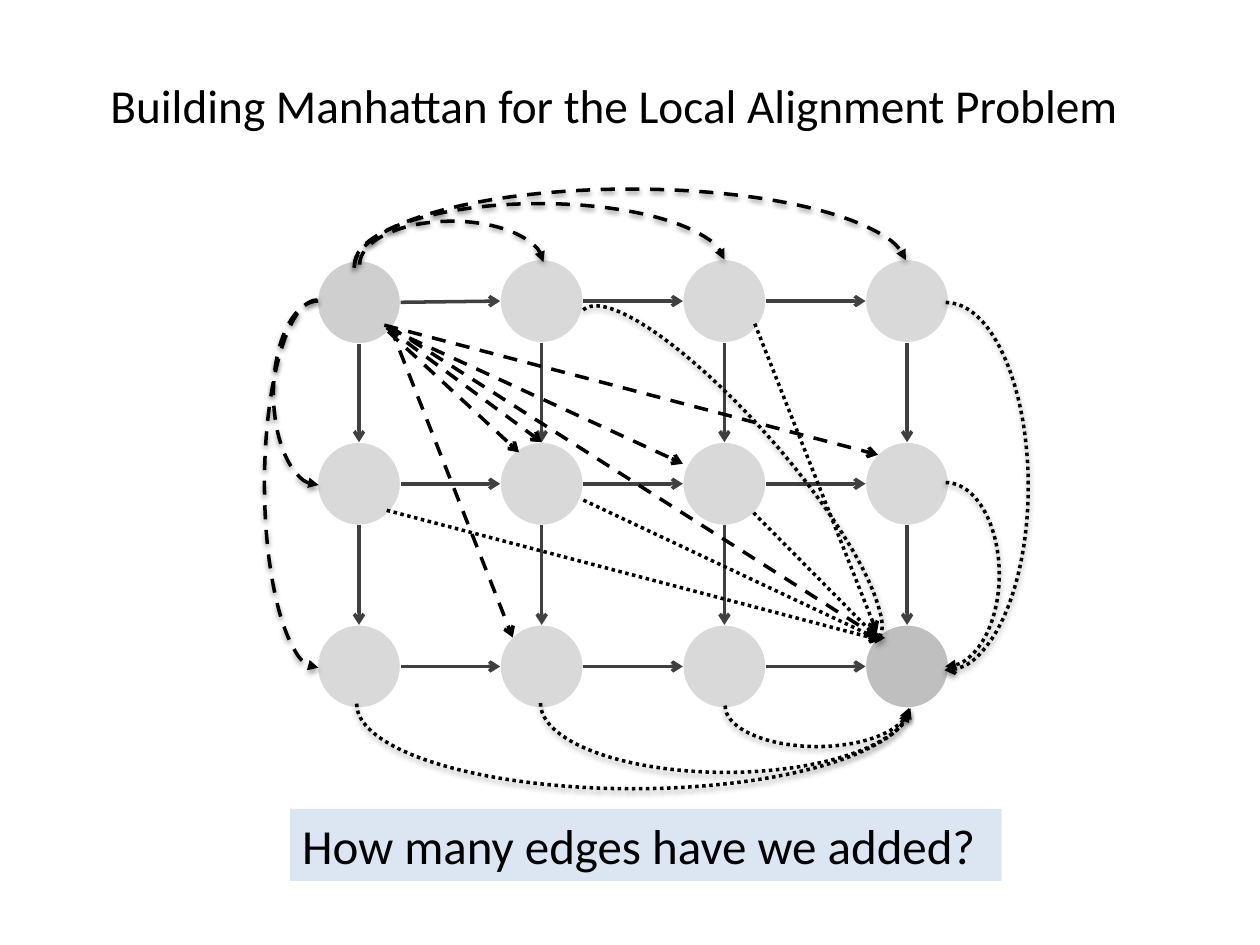
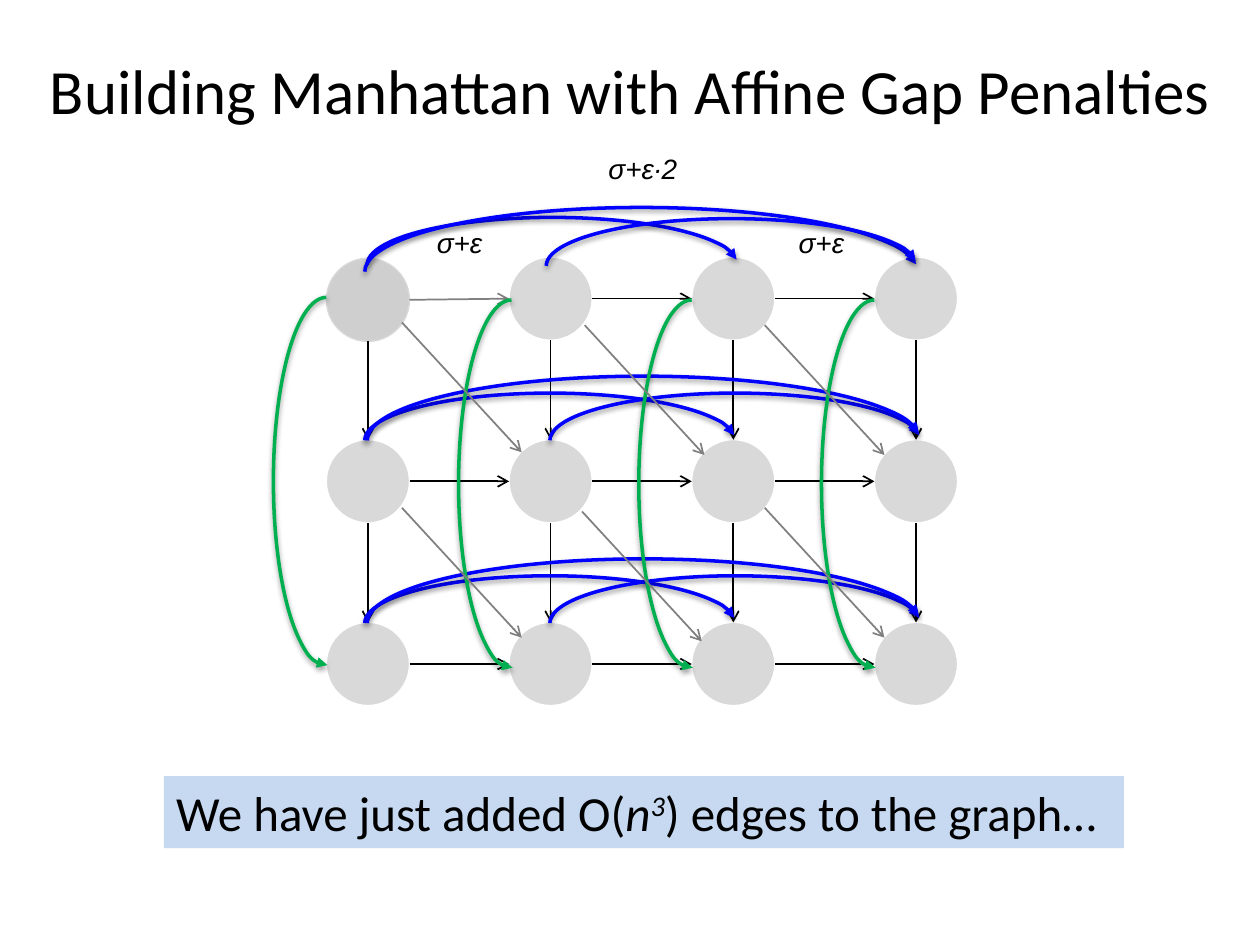
from dataclasses import dataclass
from typing import NamedTuple

from lxml.etree import SubElement
from pptx import Presentation
from pptx.dml.color import RGBColor
from pptx.enum.dml import MSO_LINE
from pptx.enum.shapes import MSO_CONNECTOR, MSO_SHAPE
from pptx.enum.text import MSO_ANCHOR, MSO_AUTO_SIZE, PP_ALIGN
from pptx.oxml.ns import qn
from pptx.util import Pt

BLACK = RGBColor(0x00, 0x00, 0x00)
WHITE = RGBColor(0xFF, 0xFF, 0xFF)
NODE_GRAY = RGBColor(0xD9, 0xD9, 0xD9)
END_GRAY = RGBColor(0xBF, 0xBF, 0xBF)
STREET_GRAY = RGBColor(0x40, 0x40, 0x40)
DIAGONAL_GRAY = RGBColor(0x80, 0x80, 0x80)
GAP_BLUE = RGBColor(0x00, 0x00, 0xFF)
GAP_GREEN = RGBColor(0x00, 0xB0, 0x50)
PALE_BLUE = RGBColor(0xDC, 0xE6, 0xF2)
LIGHT_BLUE = RGBColor(0xC6, 0xD9, 0xF1)

ROWS, COLS = 3, 4
NODE, PITCH = 47.5, 104.4


class Point(NamedTuple):
    x: float
    y: float


class Run(NamedTuple):
    text: str
    italic: bool = False
    baseline: int = 0


@dataclass(frozen=True)
class Stroke:
    color: RGBColor
    width: float
    dash: MSO_LINE | None = None
    head: str = "arrow"


@dataclass(frozen=True)
class Arc:
    cx: float
    cy: float
    depth: float
    span: float
    rotation: float = 0
    flip: bool = False
    head: str = "triangle"


STREET = Stroke(STREET_GRAY, 2)
THIN_STREET = Stroke(BLACK, 1)
DIAGONAL = Stroke(DIAGONAL_GRAY, 1)
DASHED = Stroke(BLACK, 2, MSO_LINE.DASH)
DOTTED = Stroke(BLACK, 2, MSO_LINE.ROUND_DOT)

SOURCE_ARCS = [
    Arc(258.1, 151.2, 49.7, 105.1, 270),
    Arc(308.5, 151.2, 69.8, 211.7, 270),
    Arc(360.4, 153, 90, 316.1, 270),
    Arc(181.8, 224.6, 51.1, 105.1, flip=True),
    Arc(181.4, 276.5, 60.5, 210.2, flip=True),
]
SINK_ARCS = [
    Arc(466.9, 403.2, 46.8, 105.1, 270, True),
    Arc(414.7, 401.8, 79.2, 211.7, 270, True),
    Arc(361.8, 402.1, 97.2, 316.1, 270, True),
    Arc(540.4, 328.3, 61.2, 105.1),
    Arc(540.4, 277.9, 94.3, 210.2, head="arrow"),
    Arc(416.9, 272.2, 63.4, 253.4, 318.7),
]
SOURCE_LINES = [
    (Point(219.6, 185.8), Point(501.8, 259.9)),
    (Point(221, 187.2), Point(390.2, 265)),
    (Point(221, 187.2), Point(309.6, 252.7)),
    (Point(223.2, 187.2), Point(293, 364.3)),
    (Point(221.8, 189.4), Point(296.6, 258.5)),
    (Point(222.5, 186.5), Point(501.8, 364.3)),
]
SINK_LINES = [
    (Point(221, 291.6), Point(503.3, 365.8)),
    (Point(333.4, 285.8), Point(503.3, 365.8)),
    (Point(430.6, 293), Point(501.1, 364.3)),
    (Point(431.3, 185), Point(501.1, 361.4)),
]
DIAGONAL_STARTS = [
    Point(229.7, 184.3), Point(334.1, 185.8), Point(437, 185.8),
    Point(229.7, 290.2), Point(332.6, 292.3), Point(437, 290.2),
]
SHORT_GAP, LONG_GAP = (54, 211.7), (73.4, 316.1)
TOP_GAPS = [(315.7, 151.2, SHORT_GAP), (366.5, 155.2, LONG_GAP), (418, 151.9, SHORT_GAP)]
ROW_GAPS = [(314.3, SHORT_GAP), (420.1, SHORT_GAP), (367.9, LONG_GAP)]
COLUMN_GAPS = [Point(186.5, 275), Point(292.3, 276.5), Point(395.3, 276.5), Point(499.7, 276.5)]


def apply_stroke(line, stroke: Stroke, head: str) -> None:
    line.color.rgb = stroke.color
    line.width = Pt(stroke.width)
    if stroke.dash is not None:
        line.dash_style = stroke.dash
    SubElement(line._get_or_add_ln(), qn("a:tailEnd"), type=head)


def add_arrow(slide, start: Point, end: Point, stroke: Stroke) -> None:
    s = slide.shapes.add_connector(
        MSO_CONNECTOR.STRAIGHT, Pt(start.x), Pt(start.y), Pt(end.x), Pt(end.y))
    apply_stroke(s.line, stroke, stroke.head)
    SubElement(s._element.spPr, qn("a:effectLst"))


def add_arc(slide, arc: Arc, stroke: Stroke) -> None:
    s = slide.shapes.add_shape(
        MSO_SHAPE.ARC, Pt(arc.cx - arc.depth / 2), Pt(arc.cy - arc.span / 2),
        Pt(arc.depth), Pt(arc.span))
    s.adjustments[0] = 162
    s.adjustments[1] = 53.06 if arc.rotation == 270 else 54.21
    s.rotation = arc.rotation
    if arc.flip:
        s._element.spPr.find(qn("a:xfrm")).set("flipH", "1")
    s.fill.background()
    apply_stroke(s.line, stroke, arc.head)
    s.shadow.inherit = False
    shadow = SubElement(
        s._element.spPr.find(qn("a:effectLst")), qn("a:outerShdw"),
        blurRad=str(Pt(3.1)), dist=str(Pt(1.6)), dir="5400000", rotWithShape="0")
    color = SubElement(shadow, qn("a:srgbClr"), val=str(BLACK))
    SubElement(color, qn("a:alpha"), val="38000")


def add_node(slide, at: Point, fill: RGBColor, outline: RGBColor = WHITE,
             alpha: int | None = None) -> None:
    s = slide.shapes.add_shape(MSO_SHAPE.OVAL, Pt(at.x), Pt(at.y), Pt(NODE), Pt(NODE))
    s.shadow.inherit = False
    s.fill.solid()
    s.fill.fore_color.rgb = fill
    if alpha is not None:
        color = s._element.spPr.find(qn("a:solidFill")).find(qn("a:srgbClr"))
        SubElement(color, qn("a:alpha"), val=str(alpha * 1000))
    s.line.color.rgb = outline
    s.line.width = Pt(0.75)


def add_grid(slide, origin: Point, street: Stroke, first_street: Stroke,
             source_outline: RGBColor, sink: RGBColor) -> None:
    nodes = {(i, j): Point(origin.x + j * PITCH, origin.y + i * PITCH)
             for i in range(ROWS) for j in range(COLS)}
    nodes[0, 0] = Point(origin.x, origin.y + 0.7)
    for key, at in nodes.items():
        if key == (0, 0):
            add_node(slide, at, END_GRAY, source_outline, alpha=75)
        else:
            add_node(slide, at, sink if key == (ROWS - 1, COLS - 1) else NODE_GRAY)
    half = NODE / 2
    for (i, j), at in nodes.items():
        right, below = nodes.get((i, j + 1)), nodes.get((i + 1, j))
        if right:
            add_arrow(slide, Point(at.x + NODE, at.y + half), Point(right.x, right.y + half),
                      first_street if (i, j) == (0, 0) else street)
        if below:
            add_arrow(slide, Point(at.x + half, at.y + NODE),
                      Point(below.x + half, below.y), street)


def add_text(slide, content: str | list[Run], left: float, top: float, width: float,
             height: float, *, size: float, font: str = "Calibri", italic: bool = False,
             align: PP_ALIGN | None = None, anchor: MSO_ANCHOR = MSO_ANCHOR.TOP,
             fill: RGBColor | None = None, wrap: bool = True, grow: bool = False,
             tabs: tuple[float, ...] = ()) -> None:
    s = slide.shapes.add_textbox(Pt(left), Pt(top), Pt(width), Pt(height))
    if fill is not None:
        s.fill.solid()
        s.fill.fore_color.rgb = fill
    tf = s.text_frame
    tf.word_wrap = wrap
    tf.vertical_anchor = anchor
    tf.auto_size = MSO_AUTO_SIZE.SHAPE_TO_FIT_TEXT if grow else MSO_AUTO_SIZE.NONE
    p = tf.paragraphs[0]
    if tabs:
        stops = SubElement(p._p.get_or_add_pPr(), qn("a:tabLst"))
        for pos in tabs:
            SubElement(stops, qn("a:tab"), pos=str(Pt(pos)), algn="l")
    p.alignment = align
    for run in [Run(content, italic)] if isinstance(content, str) else content:
        r = p.add_run()
        r.text = run.text
        r.font.name = font
        r.font.size = Pt(size)
        r.font.italic = run.italic
        r.font.color.rgb = BLACK
        if run.baseline:
            r._r.get_or_add_rPr().set("baseline", str(run.baseline * 1000))


def add_title(slide, text: str, left: float, top: float, width: float, height: float,
              size: float) -> None:
    add_text(slide, text, left, top, width, height, size=size,
             align=PP_ALIGN.CENTER, anchor=MSO_ANCHOR.MIDDLE)


def add_banner(slide, content: str | list[Run], left: float, top: float, width: float,
               fill: RGBColor) -> None:
    add_text(slide, content, left, top, width, 41.2, size=28, fill=fill, grow=True)


def build_local_alignment(slide) -> None:
    add_grid(slide, Point(181.4, 148.3), STREET, STREET, WHITE, END_GRAY)
    for lines, arcs, stroke in ((SOURCE_LINES, SOURCE_ARCS, DASHED),
                                (SINK_LINES, SINK_ARCS, DOTTED)):
        for start, end in lines:
            add_arrow(slide, start, end, stroke)
        for arc in arcs:
            add_arc(slide, arc, stroke)
    add_title(slide, "Building Manhattan for the Local Alignment Problem ",
              36, 41.8, 635.8, 36, 27)
    add_banner(slide, "How many edges have we added?", 165.6, 462.2, 406.8, PALE_BLUE)


def build_affine_gaps(slide) -> None:
    add_grid(slide, Point(186.5, 146.9), THIN_STREET, DIAGONAL, NODE_GRAY, NODE_GRAY)
    blue, green = Stroke(GAP_BLUE, 2), Stroke(GAP_GREEN, 2)
    row_gaps = [(cx, 251.6 + i * PITCH, gap) for i in range(ROWS - 1) for cx, gap in ROW_GAPS]
    for cx, cy, gap in TOP_GAPS + row_gaps:
        add_arc(slide, Arc(cx, cy, *gap, rotation=270), blue)
    for center in COLUMN_GAPS:
        add_arc(slide, Arc(*center, 60.5, 210.2, flip=True), green)
    for start in DIAGONAL_STARTS:
        add_arrow(slide, start, Point(start.x + 68.4, start.y + 74.2), DIAGONAL)
    add_title(slide, "Building Manhattan with Affine Gap Penalties", 0, 5.8, 720, 90, 36)
    add_banner(slide, [Run("We have just added O("), Run("n", True), Run("3", True, 30),
                       Run(") edges to the graph…")], 93.6, 443.5, 548.6, LIGHT_BLUE)
    add_text(slide, "\tσ+ε\tσ+ε", 234, 125.3, 293.8, 26.6, size=16, font="Arial",
             italic=True, grow=True, tabs=(8.5, 215.3))
    add_text(slide, "σ+ε∙2", 340.6, 82.8, 54, 26.6, size=16, font="Arial",
             italic=True, wrap=False, grow=True)


def main() -> None:
    prs = Presentation()
    prs.slide_width, prs.slide_height = Pt(720), Pt(540)
    for build in (build_local_alignment, build_affine_gaps):
        build(prs.slides.add_slide(prs.slide_layouts[6]))
    prs.save("out.pptx")


if __name__ == "__main__":
    main()
